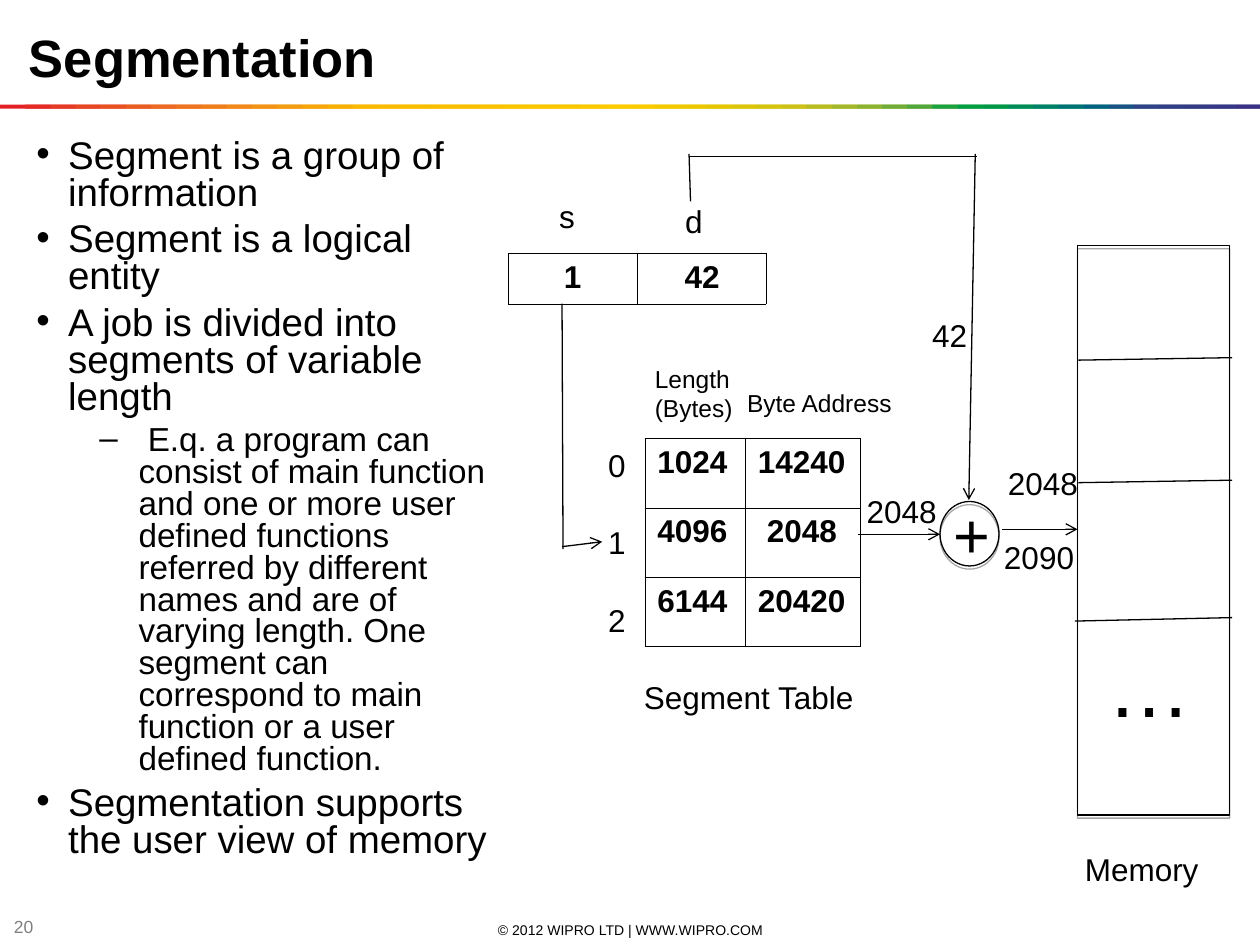
from dataclasses import dataclass
from typing import NamedTuple

from lxml import etree
from pptx import Presentation
from pptx.dml.color import RGBColor
from pptx.enum.shapes import MSO_CONNECTOR, MSO_SHAPE
from pptx.enum.text import MSO_ANCHOR, MSO_AUTO_SIZE, PP_ALIGN
from pptx.oxml.ns import qn
from pptx.util import Cm, Pt

LEFT, MID = PP_ALIGN.LEFT, PP_ALIGN.CENTER
TOP, CENTER = MSO_ANCHOR.TOP, MSO_ANCHOR.MIDDLE
RECT, OVAL = MSO_SHAPE.RECTANGLE, MSO_SHAPE.OVAL
STRAIGHT = MSO_CONNECTOR.STRAIGHT


@dataclass(frozen=True)
class Theme:
    font: str = "Arial"
    ink: str = "000000"
    gray: str = "7F7F7F"
    paper: str = "FFFFFF"
    title: float = 30
    list: float = 22
    sub: float = 19
    label: float = 18
    small: float = 14
    page: float = 10
    foot: float = 8
    plus: float = 36
    dots: float = 48
    line: float = 0.75
    grid: float = 0.45
    bands: tuple = tuple((
        "E31E24 E42C24 E53A24 E74623 E85122 EA5D21 EC691F EE741D EF7E1A F18817 "
        "F39314 F49C0F F6A607 F8B002 FBBA00 FBBB00 FBBD00 FCBF00 FCC000 FCC200 "
        "FDC400 FDC600 FDC700 FEC900 FECB00 FBCB00 F3CA00 ECC800 E4C602 DCC50A "
        "D5C30E CCC117 B8BC21 A3B829 8CB230 71AD36 51A73B 1DA240 009D43 009846 "
        "008C57 008068 007275 00637F 185384 2E4285 313E85 333B85 353885 393185"
    ).split())


T = Theme()


class Box(NamedTuple):
    x: float
    y: float
    w: float
    h: float


class Label(NamedTuple):
    text: str
    box: Box
    size: float = T.label
    color: str = T.ink
    align: int = LEFT
    anchor: int = TOP
    gap: float = 0


class Wire(NamedTuple):
    x1: float
    y1: float
    x2: float
    y2: float
    arrow: bool = False


class Cell(NamedTuple):
    text: str
    indent: float = 0


class Item(NamedTuple):
    text: str
    level: int = 0
    left: float = 0.64
    hang: float = 0.64
    size: float = T.list
    gap: float = 5.5


LABELS = [
    Label("© 2012 WIPRO LTD | WWW.WIPRO.COM", Box(8.69, 18.54, 8.05, 0.41),
          T.foot, align=MID, anchor=CENTER),
    Label("20", Box(0.03, 18.47, 0.99, 0.41), T.page, T.gray, anchor=CENTER),
    Label("s", Box(11.02, 3.84, 1.37, 1.02)),
    Label("d", Box(13.56, 3.94, 1.37, 1.02)),
    Label("Segment Table", Box(12.73, 13.54, 5.08, 1.02)),
    Label("2048", Box(20.07, 9.22, 1.96, 1.02)),
    Label("2090", Box(19.99, 10.72, 2.13, 1.02)),
    Label("Memory", Box(21.62, 17.02, 3.78, 1.02)),
    Label("Length\n(Bytes)", Box(12.95, 7.21, 2.13, 1.45), T.small),
    Label("Byte Address", Box(14.81, 7.7, 3.45, 1.45), T.small),
    Label("42", Box(18.54, 6.25, 1.3, 1.02)),
    Label("2048", Box(17.22, 9.8, 2.18, 1.02)),
    Label("+", Box(18.97, 9.86, 0.94, 1.78), T.plus),
    Label("…", Box(22.07, 12.65, 2.46, 2.29), T.dots),
    Label("0\n1\n2", Box(12.01, 8.86, 1.63, 4.06), gap=22.7),
]

WIRES = [
    # offset d to the adder
    Wire(13.92, 4.06, 13.89, 3.1),
    Wire(13.89, 3.15, 19.69, 3.15),
    Wire(19.66, 3.1, 19.53, 10.08, True),
    # segment s to its row
    Wire(11.33, 6.12, 11.35, 11.07),
    Wire(11.33, 11.02, 12.14, 10.92, True),
    # base to the adder, sum to memory
    Wire(17.3, 10.77, 18.95, 10.77, True),
    Wire(20.19, 10.67, 21.72, 10.67, True),
    # memory dividers
    Wire(21.74, 7.26, 24.84, 7.21),
    Wire(21.74, 9.73, 24.84, 9.68),
    Wire(21.67, 12.52, 24.84, 12.45),
]

ITEMS = [
    Item("Segment is a group of information"),
    Item("Segment is a logical entity"),
    Item("A job is divided into segments of variable length"),
    Item(" E.q. a program can consist of main function and one or more user "
         "defined functions referred by different names and are of varying "
         "length. One segment can correspond to main function or a user "
         "defined function.", 1, 2.06, 0.79, T.sub, 4.8),
    Item("Segmentation supports the user view of memory"),
]

ADDRESS = [[Cell("1", 0.88), Cell("42", 0.71)]]
SEGMENTS = [[Cell("1024"), Cell("14240")],
            [Cell("4096"), Cell("2048", 0.18)],
            [Cell("6144"), Cell("20420")]]


def rgb(code: str) -> RGBColor:
    return RGBColor.from_string(code)


def write(para, text: str, *, size: float = T.label, color: str = T.ink,
          bold: bool = False, align: int = LEFT, gap: float = 0) -> None:
    para.alignment, para.space_before = align, Pt(gap)
    run = para.add_run()
    run.text = text
    font = run.font
    font.name, font.size, font.bold = T.font, Pt(size), bold
    font.color.rgb = rgb(color)


def place(shape, box: Box) -> None:
    shape.left, shape.top, shape.width, shape.height = map(Cm, box)


def frame(shape, anchor: int = TOP):
    text = shape.text_frame
    text.word_wrap, text.auto_size = True, MSO_AUTO_SIZE.NONE
    text.vertical_anchor = anchor
    return text


def add_para(text, index: int):
    return text.add_paragraph() if index else text.paragraphs[0]


def add_label(slide, item: Label) -> None:
    text = frame(slide.shapes.add_textbox(*map(Cm, item.box)), item.anchor)
    for i, line in enumerate(item.text.split("\n")):
        write(add_para(text, i), line, size=item.size, color=item.color,
              align=item.align, gap=item.gap if i else 0)


def add_list(shape, items: list[Item]) -> None:
    text = frame(shape)
    for i, item in enumerate(items):
        para = add_para(text, i)
        para.level, para.line_spacing = item.level, 0.8
        props = para._p.get_or_add_pPr()
        props.set("marL", str(Cm(item.left)))
        props.set("indent", str(-Cm(item.hang)))
        write(para, item.text, size=item.size, gap=item.gap if i else 0)


def add_wire(slide, wire: Wire) -> None:
    line = slide.shapes.add_connector(STRAIGHT, *map(Cm, wire[:4]))
    line.line.color.rgb, line.line.width = rgb(T.ink), Pt(T.line)
    if wire.arrow:
        etree.SubElement(line.line._get_or_add_ln(), qn("a:tailEnd"), type="arrow")
    etree.SubElement(line._element.spPr, qn("a:effectLst"))


def add_outline(slide, kind: int, box: Box) -> None:
    shape = slide.shapes.add_shape(kind, *map(Cm, box))
    shape.fill.background()
    shape.line.color.rgb, shape.line.width = rgb(T.ink), Pt(T.line)
    shape.shadow.inherit = False
    effects = shape._element.spPr.find(qn("a:effectLst"))
    shade = etree.SubElement(effects, qn("a:outerShdw"), blurRad="0",
                             dist=str(Pt(1.8)), dir="5400000", rotWithShape="0")
    tint = etree.SubElement(shade, qn("a:srgbClr"), val=T.ink)
    etree.SubElement(tint, qn("a:alpha"), val="35000")


def add_grid(slide, x: float, y: float, cols: list[float], high: float,
             rows: list[list[Cell]]) -> None:
    box = Box(x, y, sum(cols), high * len(rows))
    table = slide.shapes.add_table(len(rows), len(cols), *map(Cm, box)).table
    table.first_row = table.horz_banding = False
    for col, wide in zip(table.columns, cols):
        col.width = Cm(wide)
    for r, row in enumerate(rows):
        table.rows[r].height = Cm(high)
        for c, item in enumerate(row):
            cell = table.cell(r, c)
            cell.margin_left = Cm(0.25 + item.indent)
            props = cell._tc.get_or_add_tcPr()
            for side in "LRTB":
                edge = etree.SubElement(props, qn(f"a:ln{side}"), w=str(Pt(T.grid)))
                fill = etree.SubElement(edge, qn("a:solidFill"))
                etree.SubElement(fill, qn("a:srgbClr"), val=T.ink)
            cell.fill.solid()
            cell.fill.fore_color.rgb = rgb(T.paper)
            write(cell.text_frame.paragraphs[0], item.text, bold=True)


def add_rule(slide, wide: float) -> None:
    group, step = slide.shapes.add_group_shape(), wide / len(T.bands)
    for i, color in enumerate(T.bands):
        span = min(2 * step, wide - i * step)
        band = group.shapes.add_shape(RECT, Cm(i * step), Cm(2.11), Cm(span), Cm(0.08))
        band.fill.solid()
        band.fill.fore_color.rgb = rgb(color)
        band.line.fill.background()
        band.shadow.inherit = False


def main() -> None:
    deck = Presentation()
    deck.slide_width, deck.slide_height = Cm(25.4), Cm(19.05)
    slide = deck.slides.add_slide(deck.slide_layouts[1])

    # Title, colour rule and list
    title, body = slide.placeholders
    place(title, Box(0.33, 0.38, 24.13, 1.52))
    write(frame(title).paragraphs[0], "Segmentation", size=T.title, bold=True)
    add_rule(slide, 25.4)
    place(body, Box(0.48, 2.69, 9.68, 14.83))
    add_list(body, ITEMS)

    # Address, segment table, adder and memory
    add_grid(slide, 10.24, 5.11, [2.6, 2.6], 1.02, ADDRESS)
    add_grid(slide, 13, 8.84, [2.03, 2.31], 1.4, SEGMENTS)
    add_outline(slide, OVAL, Box(18.95, 10.11, 1.19, 1.3))
    add_outline(slide, RECT, Box(21.72, 4.95, 3.07, 11.48))

    # Wires and labels
    for wire in WIRES:
        add_wire(slide, wire)
    for label in LABELS:
        add_label(slide, label)
    deck.save("out.pptx")


if __name__ == "__main__":
    main()
